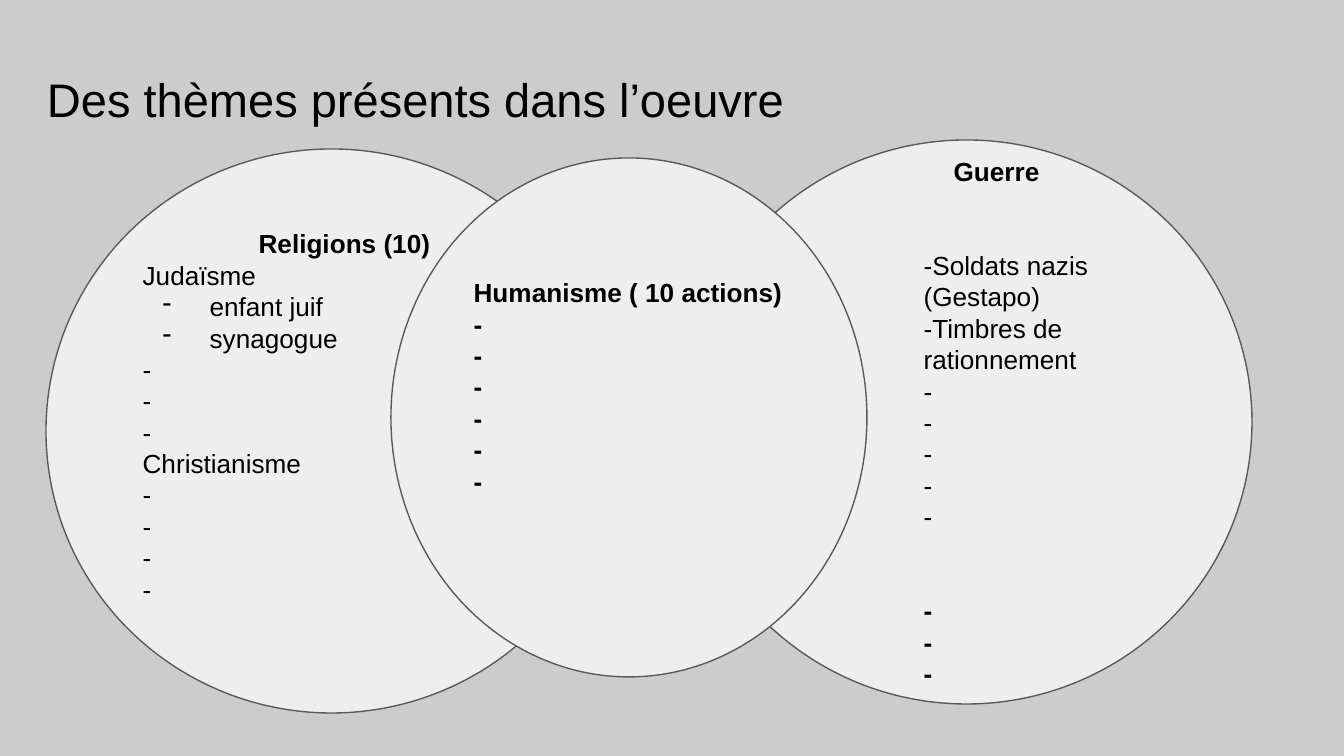
from lxml.etree import SubElement
from pptx import Presentation
from pptx.dml.color import RGBColor
from pptx.enum.shapes import MSO_SHAPE
from pptx.enum.text import MSO_ANCHOR, PP_ALIGN
from pptx.oxml.ns import qn
from pptx.util import Emu, Pt

BACKGROUND = RGBColor(0xCC, 0xCC, 0xCC)
CIRCLE_FILL = RGBColor(0xEE, 0xEE, 0xEE)
OUTLINE = RGBColor(0x59, 0x59, 0x59)
BLACK = RGBColor(0, 0, 0)
LINE_RATIO = 1.2
INSET = 13


def px(count):
    return Emu(round(count * 914400 / 134.4))


def style(para, size, bold=False):
    para.alignment = PP_ALIGN.LEFT
    para.line_spacing = Pt(size * LINE_RATIO)
    para.font.name = "Arial"
    para.font.size = Pt(size)
    para.font.bold = bold
    para.font.color.rgb = BLACK


deck = Presentation()
deck.slide_width, deck.slide_height = px(1344), px(756)
page = deck.slides.add_slide(deck.slide_layouts[6])
page.background.fill.solid()
page.background.fill.fore_color.rgb = BACKGROUND

title = page.shapes.add_textbox(px(34), px(56), px(1253), px(85)).text_frame
title.word_wrap = True
title.vertical_anchor = MSO_ANCHOR.MIDDLE
title.margin_left = title.margin_right = px(INSET)
title.margin_top = title.margin_bottom = px(INSET)
title.text = "Des thèmes présents dans l’oeuvre"
style(title.paragraphs[0], 25.2)

DASH = ("-", {})
BOLD_DASH = ("-", {"bold": True})
religions = [
    ("Religions (10)", {"bold": True, "indent": 116}),
    ("Judaïsme", {}),
    ("enfant juif", {"bullet": True}),
    ("synagogue", {"bullet": True}),
    *[DASH] * 3,
    ("Christianisme", {}),
    *[DASH] * 4,
]
war = [
    ("Guerre", {"bold": True, "indent": 30}),
    ("-Soldats nazis (Gestapo)", {"before": 63}),
    ("-Timbres de rationnement", {}),
    *[DASH] * 5,
    ("-", {"bold": True, "before": 63}),
    *[BOLD_DASH] * 2,
]
humanism = [("Humanisme ( 10 actions)", {"bold": True}), *[BOLD_DASH] * 6]

circles = [
    (MSO_SHAPE.OVAL, (46, 149, 571, 564), INSET, 43, religions),
    (MSO_SHAPE.OVAL, (681, 140, 571, 564), 159, INSET, war),
    (MSO_SHAPE.FLOWCHART_CONNECTOR, (391, 158, 476, 519), INSET, 75, humanism),
]

for kind, place, left_inset, bottom_inset, entries in circles:
    circle = page.shapes.add_shape(kind, *map(px, place))
    circle.shadow.inherit = False
    circle.fill.solid()
    circle.fill.fore_color.rgb = CIRCLE_FILL
    circle.line.color.rgb = OUTLINE
    circle.line.width = Pt(0.75)
    frame = circle.text_frame
    frame.word_wrap = True
    frame.vertical_anchor = MSO_ANCHOR.MIDDLE
    frame.margin_left, frame.margin_right = px(left_inset), px(10)
    frame.margin_top, frame.margin_bottom = px(INSET), px(bottom_inset)
    for index, (text, options) in enumerate(entries):
        para = frame.add_paragraph() if index else frame.paragraphs[0]
        para.text = text
        properties = para._p.get_or_add_pPr()
        if "bullet" in options:
            properties.set("marL", str(px(67)))
            properties.set("indent", str(px(-47)))
            SubElement(properties, qn("a:buChar"), char="-")
        if "indent" in options:
            properties.set("marL", str(px(options["indent"])))
        if "before" in options:
            para.space_before = px(options["before"])
        style(para, 14, options.get("bold", False))

deck.save("out.pptx")
